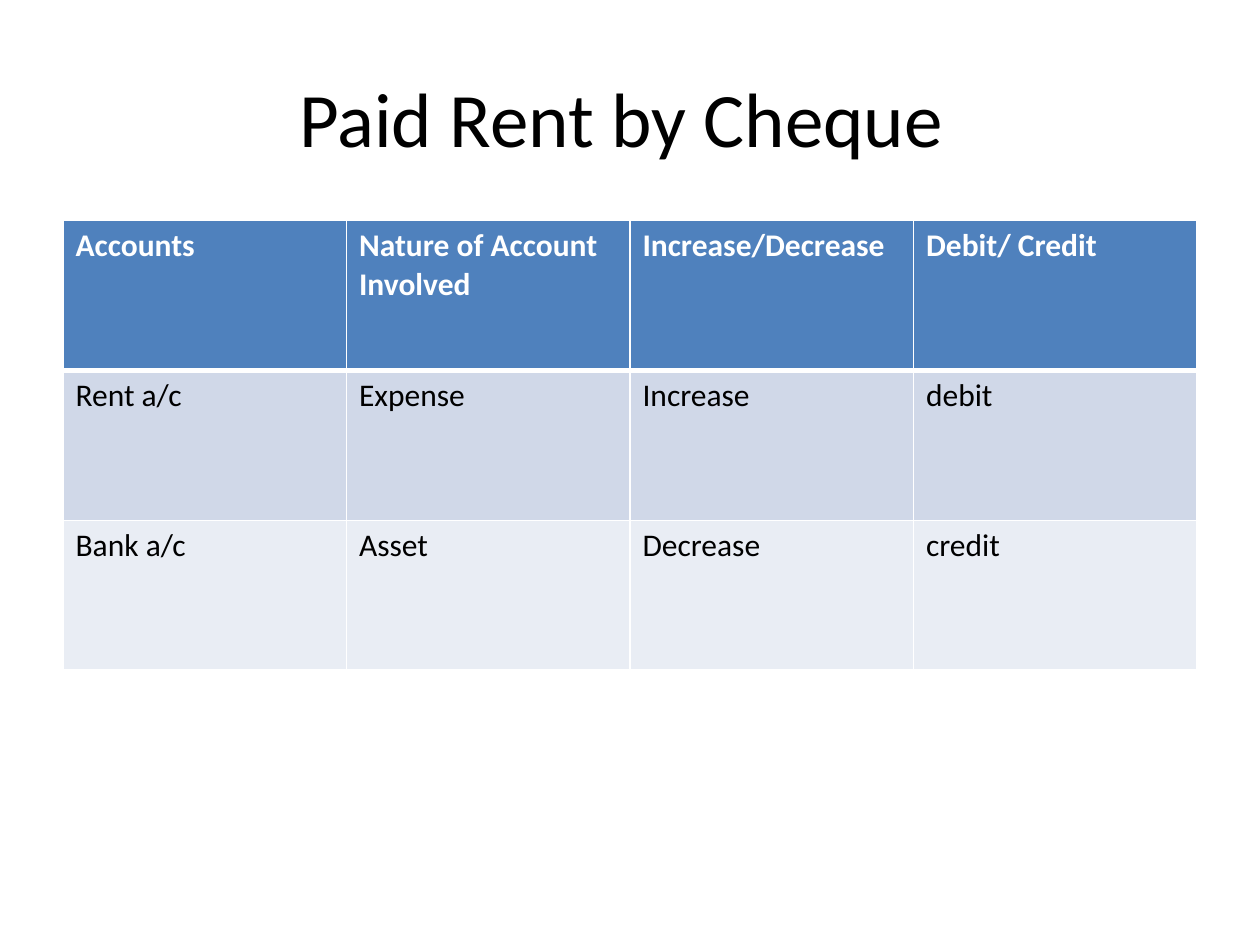
from dataclasses import dataclass

from lxml.etree import SubElement
from pptx import Presentation
from pptx.dml.color import RGBColor as Rgb
from pptx.enum.text import MSO_ANCHOR as Anchor, PP_ALIGN as Align
from pptx.oxml.ns import qn
from pptx.util import Inches, Pt


@dataclass(frozen=True)
class Theme:
    font: str = "Calibri"
    title: int = 44
    body: int = 18
    dark: str = "000000"
    light: str = "FFFFFF"
    head: str = "4F81BD"
    thin: int = 1
    thick: int = 3


@dataclass(frozen=True)
class Row:
    texts: tuple[str, ...]
    fill: str
    head: bool = False


THEME = Theme()
WIDTH, HEIGHT = Inches(10), Inches(7.5)
LEFT, SPAN = 0.05, 0.9  # shares of the slide width
ROWS = (
    Row(("Accounts", "Nature of Account Involved", "Increase/Decrease",
         "Debit/ Credit"), THEME.head, head=True),
    Row(("Rent a/c", "Expense", "Increase", "debit"), "D0D8E8"),
    Row(("Bank a/c", "Asset", "Decrease", "credit"), "E9EDF4"),
)


def write(frame, text: str, *, size: int, color: str = THEME.dark,
          bold: bool = False, align=Align.LEFT) -> None:
    par = frame.paragraphs[0]
    par.alignment = align
    run = par.add_run()
    run.text = text
    font = run.font
    font.name, font.size, font.bold = THEME.font, Pt(size), bold
    font.color.rgb = Rgb.from_string(color)


def edge(cell, side: str, width: int) -> None:
    """Rule one side of a cell; call before the cell is filled."""
    line = SubElement(cell._tc.get_or_add_tcPr(), qn(f"a:ln{side}"),
                      w=str(Pt(width)))
    fill = SubElement(line, qn("a:solidFill"))
    SubElement(fill, qn("a:srgbClr"), val=THEME.light)


def add_title(slide, text: str) -> None:
    title = slide.shapes.title
    title.left, title.top = int(WIDTH * LEFT), int(HEIGHT * 0.04)
    title.width, title.height = int(WIDTH * SPAN), Inches(1.25)
    title.text_frame.vertical_anchor = Anchor.MIDDLE
    write(title.text_frame, text, size=THEME.title, align=Align.CENTER)


def add_grid(slide, rows: tuple[Row, ...]) -> None:
    high = Inches(1.19)
    table = slide.shapes.add_table(
        len(rows), len(rows[0].texts), int(WIDTH * LEFT), Inches(1.75),
        int(WIDTH * SPAN), high * len(rows)).table
    for r, row in enumerate(rows):
        table.rows[r].height = high
        top = THEME.thick if r and rows[r - 1].head else THEME.thin
        base = THEME.thick if row.head else THEME.thin
        for c, text in enumerate(row.texts):
            cell = table.cell(r, c)
            for side, width in zip("LRTB", (THEME.thin, THEME.thin, top, base)):
                edge(cell, side, width)
            cell.fill.solid()
            cell.fill.fore_color.rgb = Rgb.from_string(row.fill)
            write(cell.text_frame, text, size=THEME.body, bold=row.head,
                  color=THEME.light if row.head else THEME.dark)


def main() -> None:
    deck = Presentation()
    deck.slide_width, deck.slide_height = WIDTH, HEIGHT
    slide = deck.slides.add_slide(deck.slide_layouts.get_by_name("Title Only"))
    add_title(slide, "Paid Rent by Cheque ")
    add_grid(slide, ROWS)
    deck.save("out.pptx")


if __name__ == "__main__":
    main()
